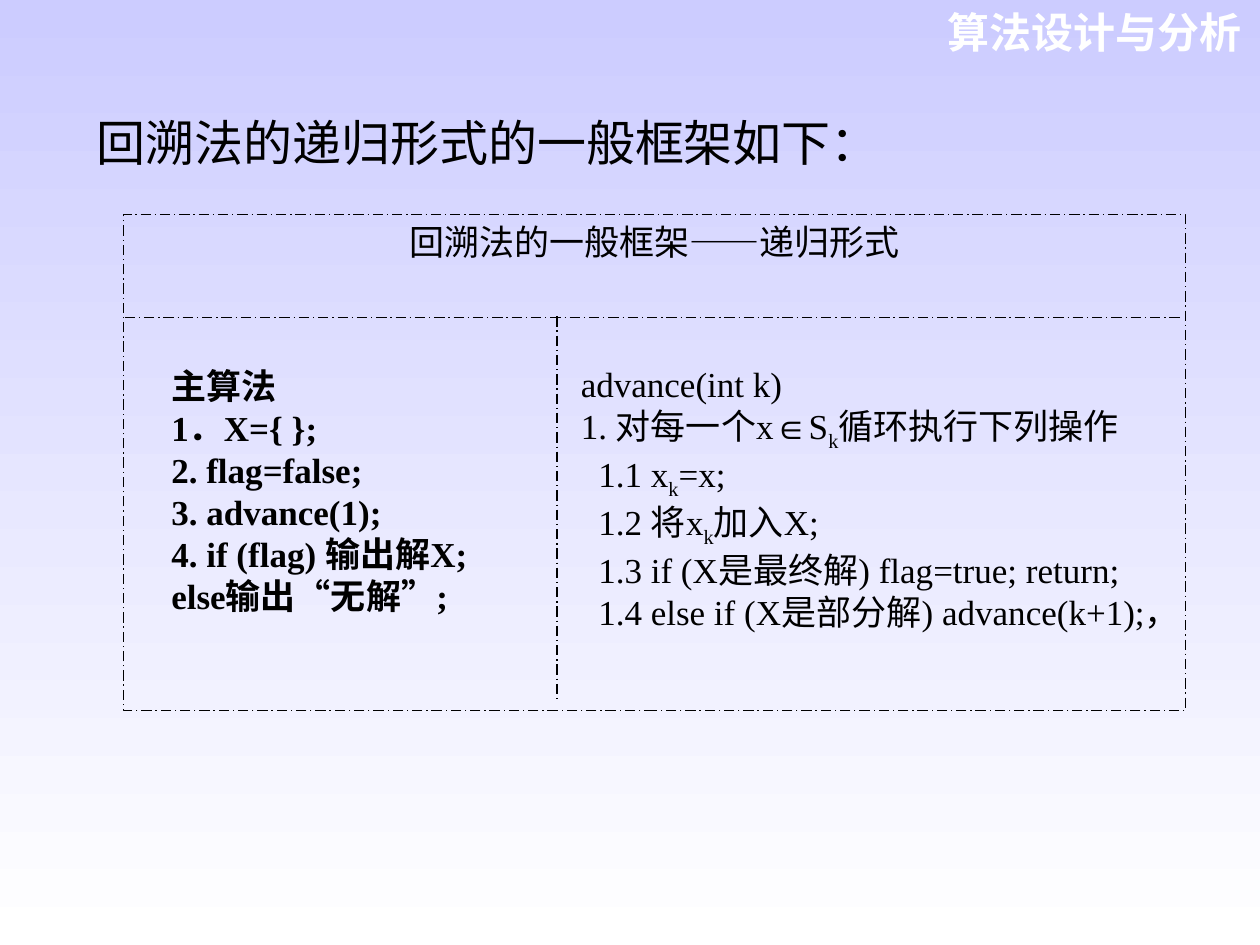
"""Build the slide with the recursive framework of backtracking."""
import pptx
import pptx.dml.color
import pptx.enum.dml
import pptx.enum.shapes
import pptx.enum.text
import pptx.util
from lxml import etree

BLACK = pptx.dml.color.RGBColor(0x00, 0x00, 0x00)
WHITE = pptx.dml.color.RGBColor(0xFF, 0xFF, 0xFF)
LAVENDER = pptx.dml.color.RGBColor(0xCC, 0xCC, 0xFF)
ALIGN = pptx.enum.text.PP_ALIGN
GROW = pptx.enum.text.MSO_AUTO_SIZE.SHAPE_TO_FIT_TEXT
SERIF = "Times New Roman"

prs = pptx.Presentation()
prs.slide_width = pptx.util.Inches(10)
prs.slide_height = pptx.util.Inches(7.5)
COL = prs.slide_width / 100
ROW = prs.slide_height / 75


def grid(*cells):
    return [round(n * (ROW if i % 2 else COL)) for i, n in enumerate(cells)]


def write(tf, lines, size, font, align, color=BLACK, bold=False):
    tf.text = "\n".join(lines)
    for p in tf.paragraphs:
        p.alignment = align
        base, *rest = p.text.split("_")
        p.text = base
        for i, part in enumerate(rest):
            r = p.add_run()
            r.text = part
            if i % 2 == 0:
                r._r.get_or_add_rPr().set("baseline", "-25000")
        for r in p.runs:
            r.font.size = pptx.util.Pt(size)
            r.font.name = font
            r.font.bold = bold
            r.font.color.rgb = color


s = prs.slides.add_slide(prs.slide_layouts[6])
fill = s.background.fill
fill.gradient()
fill.gradient_angle = 270
for stop, position, color in zip(fill.gradient_stops, (0, 1), (LAVENDER, WHITE)):
    stop.position = position
    stop.color.rgb = color

course = s.shapes.add_textbox(*grid(72.4, 0, 27.1, 5))
course.text_frame.word_wrap = True
course.text_frame.auto_size = GROW
write(course.text_frame, ["算法设计与分析"], 24, "Arial", ALIGN.RIGHT, WHITE, True)

group = s.shapes.add_group_shape()
frame = group.shapes.add_shape(
    pptx.enum.shapes.MSO_SHAPE.RECTANGLE, *grid(9.8, 17, 84.3, 39.4))
frame.shadow.inherit = False
frame.fill.background()
tf = frame.text_frame
tf.word_wrap = True
tf.vertical_anchor = pptx.enum.text.MSO_ANCHOR.TOP
write(tf, ["回溯法的一般框架——递归形式"], 20, SERIF, ALIGN.CENTER)
tf.paragraphs[0].space_after = pptx.util.Pt(7.7)

advance_lines = [
    "advance(int k)",
    "1. 对每一个x∈S_k_循环执行下列操作",
    "  1.1 x_k_=x;",
    "  1.2 将x_k_加入X;",
    "  1.3 if (X是最终解) flag=true; return;",
    "  1.4 else if (X是部分解) advance(k+1);，",
]
main_lines = [
    "主算法",
    "1．X={ };",
    "2. flag=false;",
    "3. advance(1);",
    "4. if (flag) 输出解X;",
    "else输出“无解”;",
]
for cells, lines, bold in (
    ((46.1, 28.8, 50.4, 34.7), advance_lines, False),
    ((13.6, 28.9, 25.2, 33.3), main_lines, True),
):
    sp = group.shapes.add_textbox(*grid(*cells))
    tf = sp.text_frame
    tf.word_wrap = True
    tf.margin_left = tf.margin_top = tf.margin_right = tf.margin_bottom = 0
    write(tf, lines, 20, SERIF, ALIGN.JUSTIFY, bold=bold)

outlines = [frame]
for ends in ((9.9, 25.2, 93.8, 25.2), (44.2, 25.1, 44.2, 55.6)):
    rule = group.shapes.add_connector(
        pptx.enum.shapes.MSO_CONNECTOR.STRAIGHT, *grid(*ends))
    outlines.append(rule)
for sp in outlines:
    sp.line.color.rgb = BLACK
    sp.line.width = pptx.util.Pt(0.75)
    sp.line.dash_style = pptx.enum.dml.MSO_LINE.LONG_DASH_DOT
for rule in outlines[1:]:
    etree.SubElement(rule._element.spPr, pptx.oxml.ns.qn("a:effectLst"))

heading = s.shapes.add_textbox(*grid(6.7, 8.4, 64.1, 5.7))
heading.text_frame.word_wrap = False
heading.text_frame.auto_size = GROW
write(heading.text_frame, ["回溯法的递归形式的一般框架如下："], 28, "Arial", ALIGN.LEFT)

prs.save("out.pptx")
